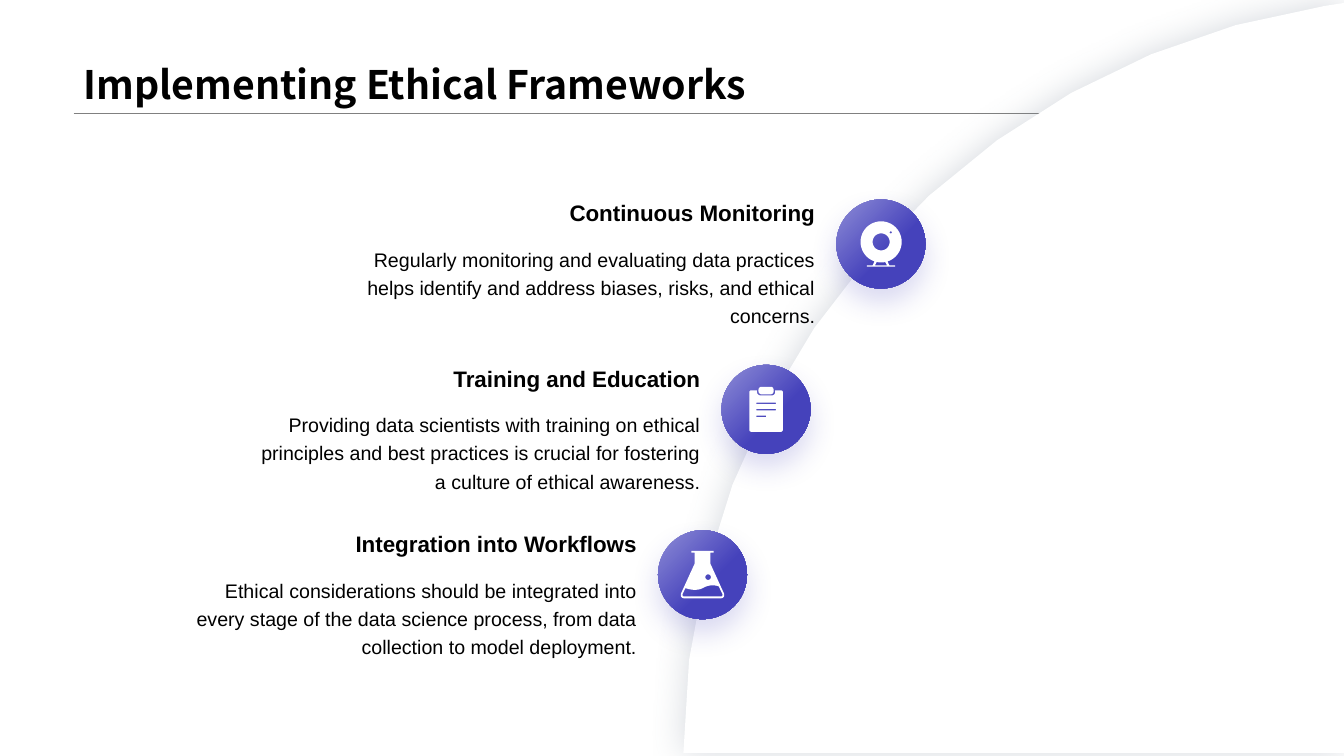
from math import cos, pi, sin

from lxml import etree
from pptx import Presentation
from pptx.dml.color import RGBColor
from pptx.enum.shapes import MSO_CONNECTOR, MSO_SHAPE
from pptx.enum.text import MSO_ANCHOR, MSO_AUTO_SIZE, PP_ALIGN
from pptx.oxml import parse_xml
from pptx.oxml.ns import nsdecls, qn
from pptx.util import Pt


def circle(x, y, radius, steps=48):
    angles = [2 * pi * i / steps for i in range(steps)]
    return [(x + radius * cos(a), y + radius * sin(a)) for a in angles]


def box(left, top, right, bottom):
    return [(left, top), (right, top), (right, bottom), (left, bottom)]


# Outlines: a pair is a corner, six numbers are a curve (two handles and an end)
SWEEP = [[(960, 2.16), (960, 537.84), (488.16, 537.84),
          (488.16, 267.84, 686.88, 43.92, 946.08, 4.32)]]
# Icons are measured from the centre of their disc
CAMERA = [
    circle(0.2, -1.5, 14.7),
    circle(0.2, -1.5, 6.1),
    circle(7.1, -8.3, 0.8),
    [(-4.6, 12.4), (-3, 13), (-4.2, 15.2), (4.4, 15.2), (3.2, 13), (4.8, 12.4),
     (6, 15.2), (10.2, 15.2), (10.2, 16.2), (-10, 16.2), (-10, 15.2), (-5.8, 15.2)],
]
CLIPBOARD = [
    [(-6.5, -13.6), (-6.5, -12.4), (-6.5, -11, -5.4, -9.9, -4.1, -9.9), (4.1, -9.9),
     (5.4, -9.9, 6.5, -11, 6.5, -12.4), (6.5, -13.6), (10.4, -13.6),
     (11.3, -13.6, 12, -12.9, 12, -12), (12, 14.5), (12, 15.4, 11.3, 16.1, 10.4, 16.1),
     (-10.4, 16.1), (-11.3, 16.1, -12, 15.4, -12, 14.5), (-12, -12),
     (-12, -12.9, -11.3, -13.6, -10.4, -13.6)],
    [(-3.3, -16.1), (3.3, -16.1), (6.2, -16.1, 6.2, -10.7, 3.3, -10.7),
     (-3.3, -10.7), (-6.2, -10.7, -6.2, -16.1, -3.3, -16.1)],
    box(-7, -4.7, 7, -3.7),
    box(-7, -0.3, 7, 0.7),
    box(-7, 4.6, 0, 5.6),
]
FLASK = [
    [(-8, -16.9), (8, -16.9), (8, -15.7), (5.6, -15.7), (5.6, -8.6),
     (5.6, -8, 5.7, -7.5, 6, -7), (15.3, 13.4), (16, 15.2, 15, 16.9, 13.3, 16.9),
     (-13.3, 16.9), (-15, 16.9, -16, 15.2, -15.3, 13.4), (-6, -7),
     (-5.7, -7.5, -5.6, -8, -5.6, -8.6), (-5.6, -15.7), (-8, -15.7)],
    [(-12.2, 9.6), (-8, 11.2, -3, 11.4, 0.2, 9.6), (3.5, 7.6, 8, 7, 11.6, 8.4),
     (14.2, 13.8), (14.5, 14.8, 14.2, 15.6, 13.3, 15.6), (-13.3, 15.6),
     (-14.2, 15.6, -14.5, 14.8, -14.2, 13.8)],
    circle(4, 1.8, 2),
]

TITLE = "Implementing Ethical Frameworks"
# Heading, text, left edge of the disc, icon
STEPS = [
    ("Continuous Monitoring",
     "Regularly monitoring and evaluating data practices helps identify and address "
     "biases, risks, and ethical concerns.", 597.4, CAMERA),
    ("Training and Education",
     "Providing data scientists with training on ethical principles and best practices "
     "is crucial for fostering a culture of ethical awareness.", 515.4, CLIPBOARD),
    ("Integration into Workflows",
     "Ethical considerations should be integrated into every stage of the data science "
     "process, from data collection to model deployment.", 470, FLASK),
]
FIRST_TOP, PITCH = 139, 118.1
TEXT_WIDTH, TEXT_GAP, DISC = 335.5, 8, 63.6


def color(hex_value):
    return RGBColor.from_string(hex_value)


def add_shadow(shape, hex_value, alpha, blur, distance=0, angle=0):
    effects = shape._element.spPr.find(qn("a:effectLst"))
    effects.append(parse_xml(
        f'<a:outerShdw {nsdecls("a")} blurRad="{Pt(blur)}" dist="{Pt(distance)}" '
        f'dir="{angle * 60000}" algn="ctr" rotWithShape="0"><a:srgbClr val="{hex_value}">'
        f'<a:alpha val="{alpha * 1000}"/></a:srgbClr></a:outerShdw>'))


def flatten(outline, steps=12):
    points = []
    for node in outline:
        if len(node) == 2:
            points.append(node)
            continue
        start, handles = points[-1], (node[:2], node[2:4], node[4:])
        for i in range(1, steps + 1):
            t = i / steps
            weights = ((1 - t) ** 3, 3 * t * (1 - t) ** 2, 3 * t * t * (1 - t), t ** 3)
            points.append(tuple(sum(w * p[axis] for w, p in zip(weights, (start, *handles)))
                                for axis in (0, 1)))
    return points


def add_outline(shapes, outlines, x=0, y=0):
    builder = None
    for outline in outlines:
        first, *rest = [(Pt(x + px), Pt(y + py)) for px, py in flatten(outline)]
        if builder is None:
            builder = shapes.build_freeform(*first, scale=1.0)
        else:
            builder.move_to(*first)
        builder.add_line_segments(rest, close=True)
    shape = builder.convert_to_shape()
    shape.shadow.inherit = False
    shape.fill.solid()
    shape.fill.fore_color.rgb = color("FFFFFF")
    shape.line.fill.background()
    return shape


def write(paragraph, text, size, font="Arial", bold=False, spacing=1.0,
          align=PP_ALIGN.RIGHT):
    paragraph.alignment = align
    paragraph.line_spacing = spacing
    run = paragraph.add_run()
    run.text = text
    run.font.name, run.font.size, run.font.bold = font, Pt(size), bold
    run.font.color.rgb = color("000000")
    # The same face serves East Asian text
    etree.SubElement(run.font._element, qn("a:ea")).set("typeface", font)


def add_text(shapes, left, top, height, text, size, **style):
    frame = shapes.add_textbox(Pt(left), Pt(top), Pt(TEXT_WIDTH), Pt(height)).text_frame
    frame.word_wrap = True
    frame.auto_size = MSO_AUTO_SIZE.SHAPE_TO_FIT_TEXT
    write(frame.paragraphs[0], text, size, **style)


def add_disc(shapes, left, top):
    disc = shapes.add_shape(MSO_SHAPE.OVAL, Pt(left), Pt(top), Pt(DISC), Pt(DISC))
    disc.shadow.inherit = False
    disc.line.fill.background()
    disc.fill.gradient()
    disc.fill.gradient_angle = 315
    light, deep = disc.fill.gradient_stops
    light.color.rgb, light.position = color("8F8DD7"), 0
    deep.color.rgb, deep.position = color("4542BB"), 0.6
    add_shadow(disc, "4542BB", 20, 20, 10, 90)


def main():
    deck = Presentation()
    deck.slide_width, deck.slide_height = Pt(960), Pt(540)
    slide = deck.slides.add_slide(deck.slide_layouts[5])
    shapes = slide.shapes

    # Title and its rule
    title = shapes.title
    title.left, title.top, title.width, title.height = Pt(52.6), Pt(0), Pt(854.6), Pt(80.6)
    title.text_frame.auto_size = MSO_AUTO_SIZE.NONE
    title.text_frame.vertical_anchor = MSO_ANCHOR.BOTTOM
    write(title.text_frame.paragraphs[0], TITLE, 28, font="Noto Sans CJK SC", bold=True,
          spacing=0.9, align=PP_ALIGN.LEFT)
    rule = shapes.add_connector(MSO_CONNECTOR.STRAIGHT, Pt(52.6), Pt(80.6), Pt(907.2), Pt(80.6))
    rule.line.color.rgb = color("808080")
    rule.line.width = Pt(0.25)
    etree.SubElement(rule._element.spPr, qn("a:effectLst"))

    # White sweep on the right
    sweep = add_outline(shapes, SWEEP)
    add_shadow(sweep, "768394", 30, 25)

    # Steps along the sweep
    for i, (heading, text, disc_left, icon) in enumerate(STEPS):
        top = FIRST_TOP + i * PITCH
        left = disc_left - TEXT_GAP - TEXT_WIDTH
        add_text(shapes, left, top, 26.6, heading, 16, bold=True)
        add_text(shapes, left, top + 31.1, 66.2, text, 14, spacing=1.2)
        disc_top = top + 3.5
        add_disc(shapes, disc_left, disc_top)
        add_outline(shapes, icon, disc_left + DISC / 2, disc_top + DISC / 2)

    deck.save("out.pptx")


if __name__ == "__main__":
    main()
